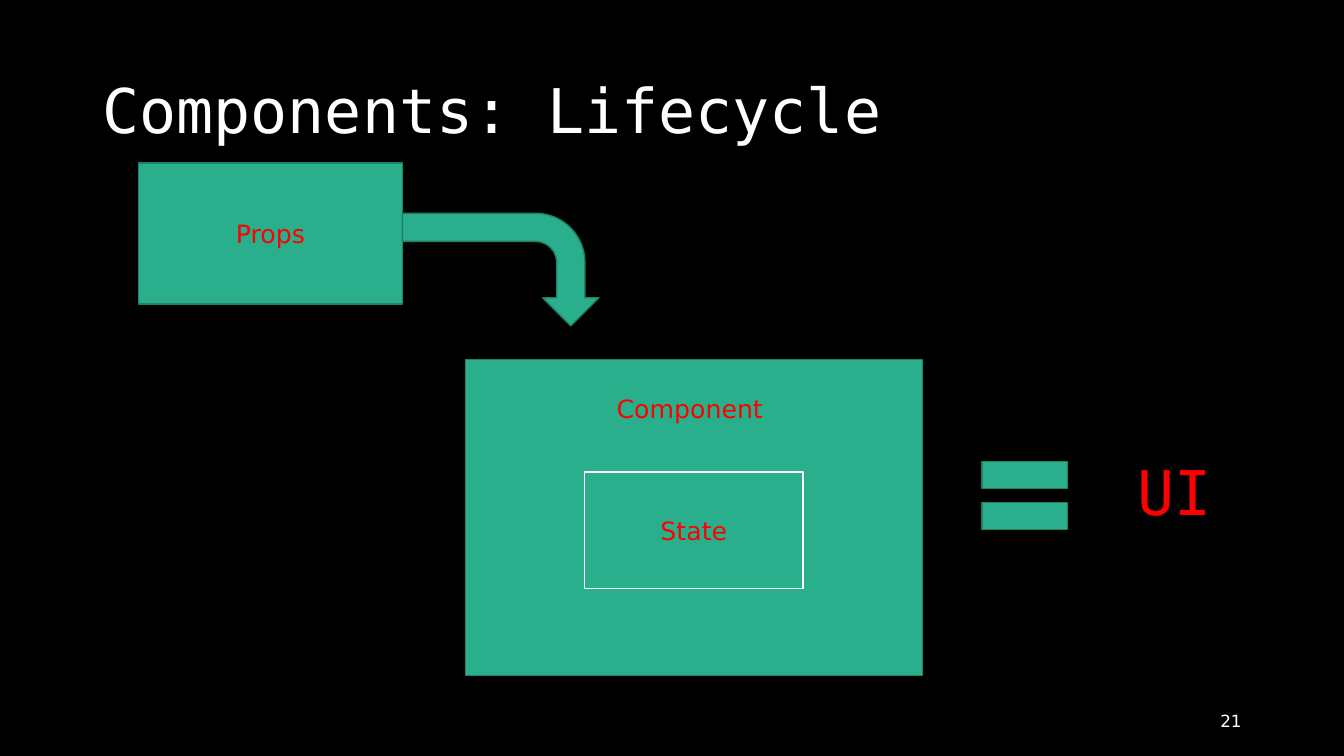
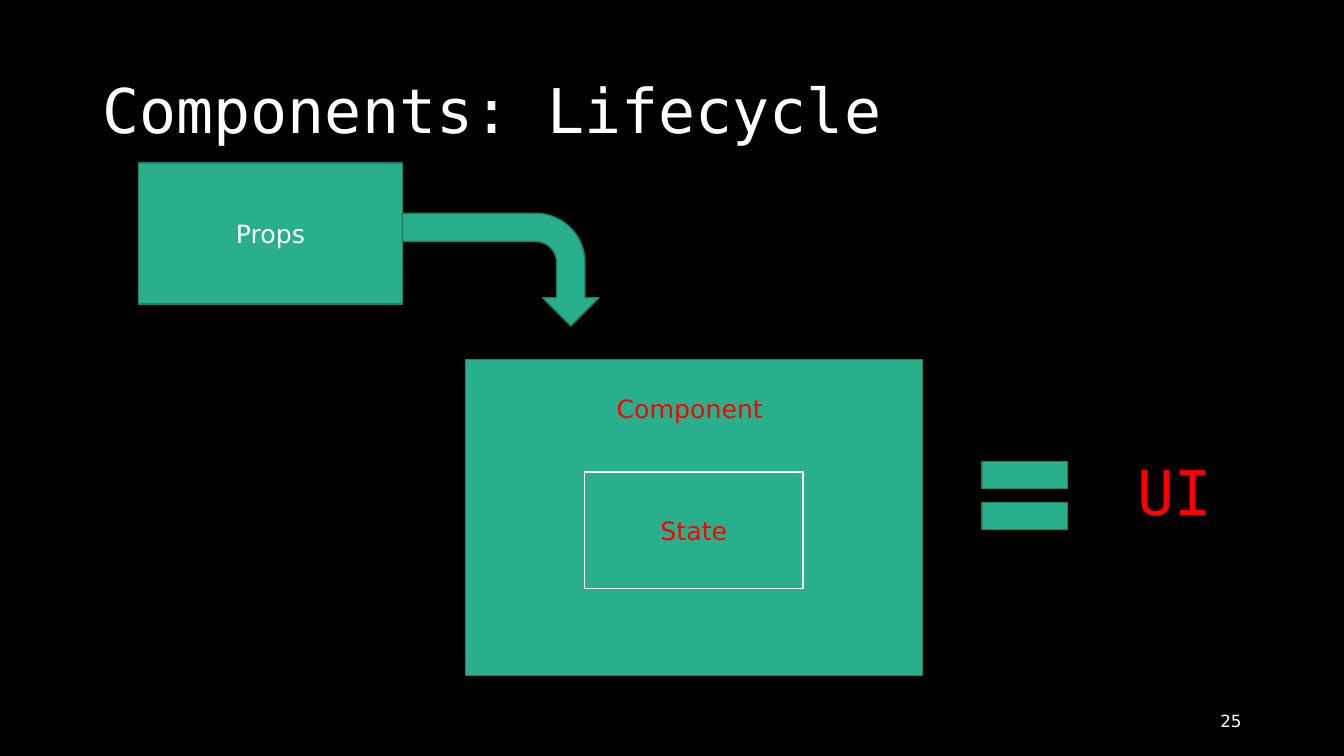
from pptx import Presentation
from pptx.dml.color import RGBColor as RGB
from pptx.enum.shapes import MSO_SHAPE as SHAPE
from pptx.enum.text import MSO_ANCHOR as ANCHOR, MSO_AUTO_SIZE as AUTO, PP_ALIGN as ALIGN
from pptx.util import Inches, Pt

COLORS = {
    "black": "000000",
    "white": "FFFFFF",
    "green": "29AF8C",
    "edge": "1E8168",
    "red": "FF0000",
}
SANS, MONO = "DejaVu Sans", "DejaVu Sans Mono"
STYLES = {
    "title": {"font": {"name": MONO, "size": Pt(44)},
              "para": {"alignment": ALIGN.LEFT, "line_spacing": 0.9}},
    "label": {"font": {"name": SANS, "size": Pt(18)},
              "para": {"alignment": ALIGN.CENTER}},
    "number": {"font": {"name": SANS, "size": Pt(12)},
               "para": {"alignment": ALIGN.RIGHT}},
}
COLS, ROWS = 16, 9


def rgb(name):
    return RGB.from_string(COLORS[name])


def set_attrs(target, values):
    for name, value in values.items():
        setattr(target, name, value)


class Deck:
    def __init__(self):
        self.prs = Presentation()
        set_attrs(self.prs, {"slide_width": Inches(13.333), "slide_height": Inches(7.5)})
        fill = self.prs.slide_master.background.fill
        fill.solid()
        fill.fore_color.rgb = rgb("black")
        self.slide = None

    def box(self, col, row, cols, rows):
        dx, dy = self.prs.slide_width / COLS, self.prs.slide_height / ROWS
        return int(col * dx), int(row * dy), int(cols * dx), int(rows * dy)

    def put_text(self, sp, text, style, color, **frame):
        tf = sp.text_frame
        set_attrs(tf, {"word_wrap": True, "auto_size": AUTO.NONE,
                       "vertical_anchor": ANCHOR.MIDDLE, **frame})
        p = tf.paragraphs[0]
        set_attrs(p, STYLES[style]["para"])
        r = p.add_run()
        r.text = text
        set_attrs(r.font, STYLES[style]["font"])
        r.font.color.rgb = rgb(color)

    def add_slide(self, title):
        self.slide = self.prs.slides.add_slide(self.prs.slide_layouts[5])
        sp = self.slide.shapes.title
        set_attrs(sp, dict(zip(("left", "top", "width", "height"),
                               self.box(1.1, 0.48, 13.8, 1.74))))
        self.put_text(sp, title, "title", "white")

    def shape(self, kind, *place, line="edge", rotation=0):
        sp = self.slide.shapes.add_shape(kind, *self.box(*place))
        sp.shadow.inherit = False
        sp.rotation = rotation
        sp.fill.solid()
        sp.fill.fore_color.rgb = rgb("green")
        sp.line.color.rgb = rgb(line)
        sp.line.width = Pt(1)
        return sp

    def block(self, text, *place, color="red", line="edge", **frame):
        sp = self.shape(SHAPE.RECTANGLE, *place, line=line)
        self.put_text(sp, text, "label", color, **frame)

    def text(self, text, style, color, *place):
        sp = self.slide.shapes.add_textbox(*self.box(*place))
        self.put_text(sp, text, style, color)


def lifecycle(deck, number, props_color):
    deck.add_slide("Components: Lifecycle")
    deck.block("Component ", 5.54, 4.28, 5.44, 3.76,
               vertical_anchor=ANCHOR.TOP, margin_top=Inches(0.34))
    deck.block("Props", 1.65, 1.94, 3.14, 1.68, color=props_color)
    deck.block("State", 6.96, 5.62, 2.6, 1.39, line="white")
    deck.shape(SHAPE.BENT_ARROW, 5.29, 2.04, 1.34, 2.34, rotation=90)
    deck.shape(SHAPE.MATH_EQUAL, 11.51, 5.21, 1.38, 1.38)
    deck.text("UI", "title", "red", 13.42, 5.03, 1.4, 1.74)
    deck.text(number, "number", "white", 11.3, 8.34, 3.6, 0.48)


def main():
    deck = Deck()
    for number, props_color in (("21", "red"), ("25", "white")):
        lifecycle(deck, number, props_color)
    deck.prs.save("out.pptx")


if __name__ == "__main__":
    main()
